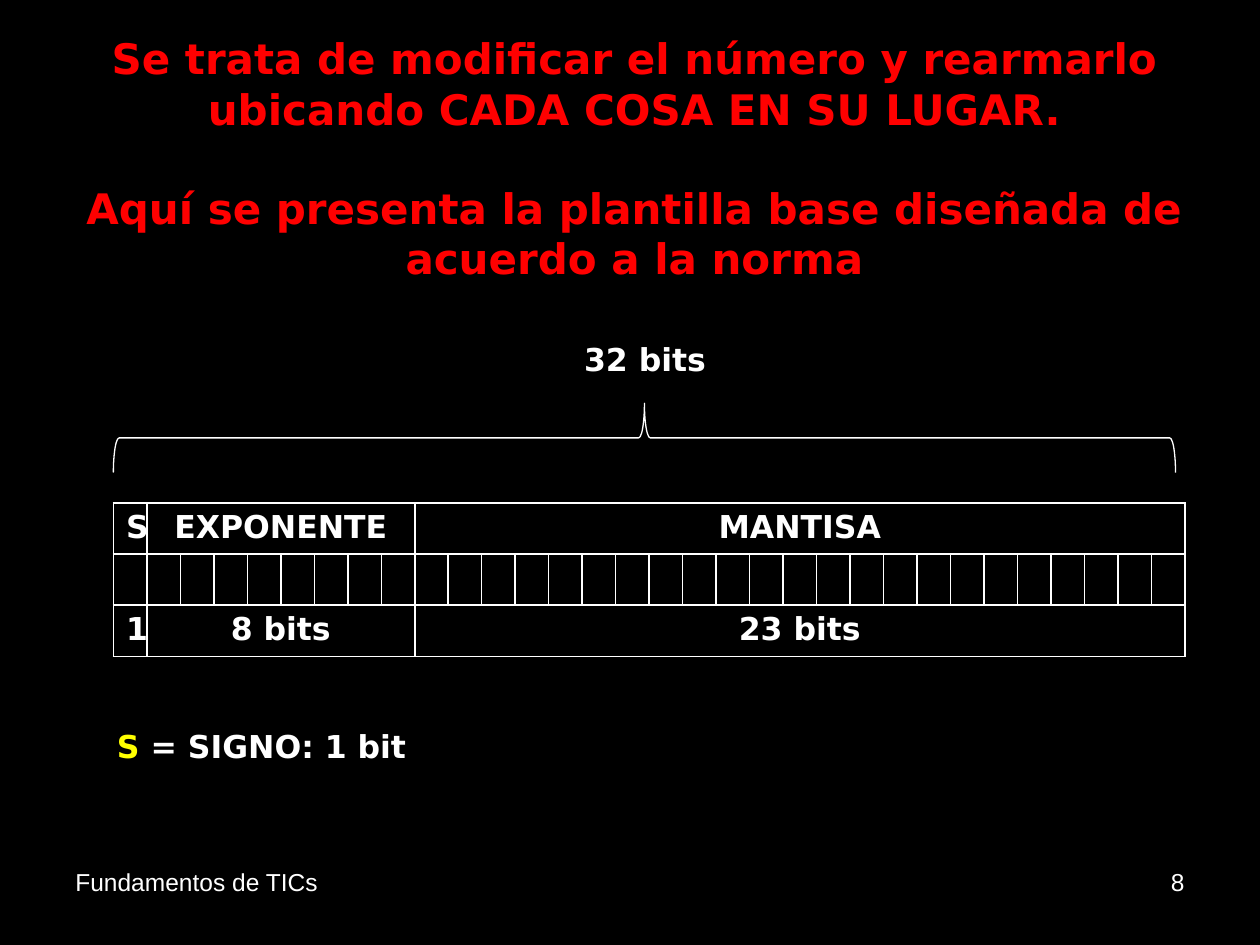
from dataclasses import dataclass

from lxml import etree
from pptx import Presentation
from pptx import util as u
from pptx.dml.color import RGBColor
from pptx.enum import shapes, text
from pptx.oxml import ns


@dataclass(frozen=True)
class Theme:
    black: str = "000000"
    white: str = "FFFFFF"
    red: str = "FF0000"
    yellow: str = "FFFF00"
    display: str = "DejaVu Sans"
    plain: str = "Arial"
    title: int = 24
    body: int = 18
    footer: int = 14


class Deck:
    """Draw styled elements on a slide measured in 100 columns and 75 rows."""

    def __init__(self, theme):
        self.theme = theme
        self.prs = Presentation()
        self.prs.slide_width, self.prs.slide_height = u.Inches(10), u.Inches(7.5)
        self.s = self.prs.slides.add_slide(self.prs.slide_layouts[5])
        fill = self.s.background.fill
        fill.solid()
        fill.fore_color.rgb = RGBColor.from_string(theme.black)

    def box(self, col, row, cols, rows):
        x, y = self.prs.slide_width / 100, self.prs.slide_height / 75
        return [round(v) for v in (col * x, row * y, cols * x, rows * y)]

    def add_words(self, p, words, color, size, name, bold):
        r = p.add_run()
        r.text = words
        for key, value in dict(size=u.Pt(size), name=name, bold=bold).items():
            setattr(r.font, key, value)
        r.font.color.rgb = RGBColor.from_string(color)

    def fill_text(self, tf, paragraphs, size, name, bold=True, align=text.PP_ALIGN.CENTER, gap=0):
        for i, runs in enumerate(paragraphs):
            p = tf.add_paragraph() if i else tf.paragraphs[0]
            p.alignment = align
            p.space_before = u.Pt(gap if i else 0)
            for words, color in runs:
                self.add_words(p, words, color, size, name, bold)

    def title(self, grid, lines):
        sp = self.s.shapes.title
        for key, value in zip(("left", "top", "width", "height"), self.box(*grid)):
            setattr(sp, key, value)
        frame = dict(word_wrap=True, vertical_anchor=text.MSO_ANCHOR.TOP,
                     auto_size=text.MSO_AUTO_SIZE.NONE)
        for key, value in frame.items():
            setattr(sp.text_frame, key, value)
        t = self.theme
        self.fill_text(sp.text_frame, [[(line, t.red)] for line in lines], t.title, t.display, gap=28)

    def label(self, grid, runs, align=text.PP_ALIGN.CENTER):
        tf = self.s.shapes.add_textbox(*self.box(*grid)).text_frame
        tf.word_wrap = True
        self.fill_text(tf, [runs], self.theme.body, self.theme.display, align=align)

    def footer(self, grid, words, align):
        tf = self.s.shapes.add_textbox(*self.box(*grid)).text_frame
        tf.word_wrap = True
        t = self.theme
        self.fill_text(tf, [[(words, t.white)]], t.footer, t.plain, bold=False, align=align)

    def brace(self, grid):
        left, top, width, height = self.box(*grid)
        x, y = left + (width - height) // 2, top + (height - width) // 2
        sp = self.s.shapes.add_shape(shapes.MSO_SHAPE.RIGHT_BRACE, x, y, height, width)
        sp.rotation = 270
        sp.adjustments[0], sp.adjustments[1] = 0.083, 0.5
        sp.shadow.inherit = False
        sp.fill.background()
        sp.line.color.rgb = RGBColor.from_string(self.theme.white)
        sp.line.width = u.Pt(0.75)

    def style_cell(self, cell):
        cell.fill.solid()
        cell.fill.fore_color.rgb = RGBColor.from_string(self.theme.black)
        tc_pr = cell._tc.get_or_add_tcPr()
        for i, side in enumerate(("lnL", "lnR", "lnT", "lnB")):
            ln = etree.Element(ns.qn(f"a:{side}"), w=str(u.Pt(1)))
            fill = etree.SubElement(ln, ns.qn("a:solidFill"))
            etree.SubElement(fill, ns.qn("a:srgbClr"), val=self.theme.white)
            tc_pr.insert(i, ln)

    def bit_table(self, grid, fields):
        bits = sum(width for _, width, _ in fields)
        table = self.s.shapes.add_table(3, bits, *self.box(*grid)).table
        table.first_row = table.horz_banding = False
        for cell in table.iter_cells():
            self.style_cell(cell)
        t, start = self.theme, 0
        for name, width, size in fields:
            for row, words in ((0, name), (2, size)):
                cell = table.cell(row, start)
                if width > 1:
                    cell.merge(table.cell(row, start + width - 1))
                self.fill_text(cell.text_frame, [[(words, t.white)]], t.body, t.display)
            start += width


def main():
    theme = Theme()
    deck = Deck(theme)
    left, right = text.PP_ALIGN.LEFT, text.PP_ALIGN.RIGHT
    deck.title((3.5, 2.1, 93.7, 21.2), [
        "Se trata de modificar el número y rearmarlo ubicando CADA COSA EN SU LUGAR.",
        "Aquí se presenta la plantilla base diseñada de acuerdo a la norma",
    ])
    deck.label((37.4, 26.5, 27.6, 4), [("32 bits", theme.white)])
    deck.brace((9, 32, 84.3, 5.5))
    deck.bit_table((9, 39.9, 85.1, 12.2), [
        ("S", 1, "1"), ("EXPONENTE", 8, "8 bits"), ("MANTISA", 23, "23 bits"),
    ])
    deck.label((8.3, 57.2, 33.9, 4),
               [("S", theme.yellow), (" = SIGNO: 1 bit", theme.white)], left)
    deck.footer((5, 68.3, 23.3, 5.2), "Fundamentos de TICs", left)
    deck.footer((71.7, 68.3, 23.3, 5.2), "8", right)
    deck.prs.save("out.pptx")


if __name__ == "__main__":
    main()
